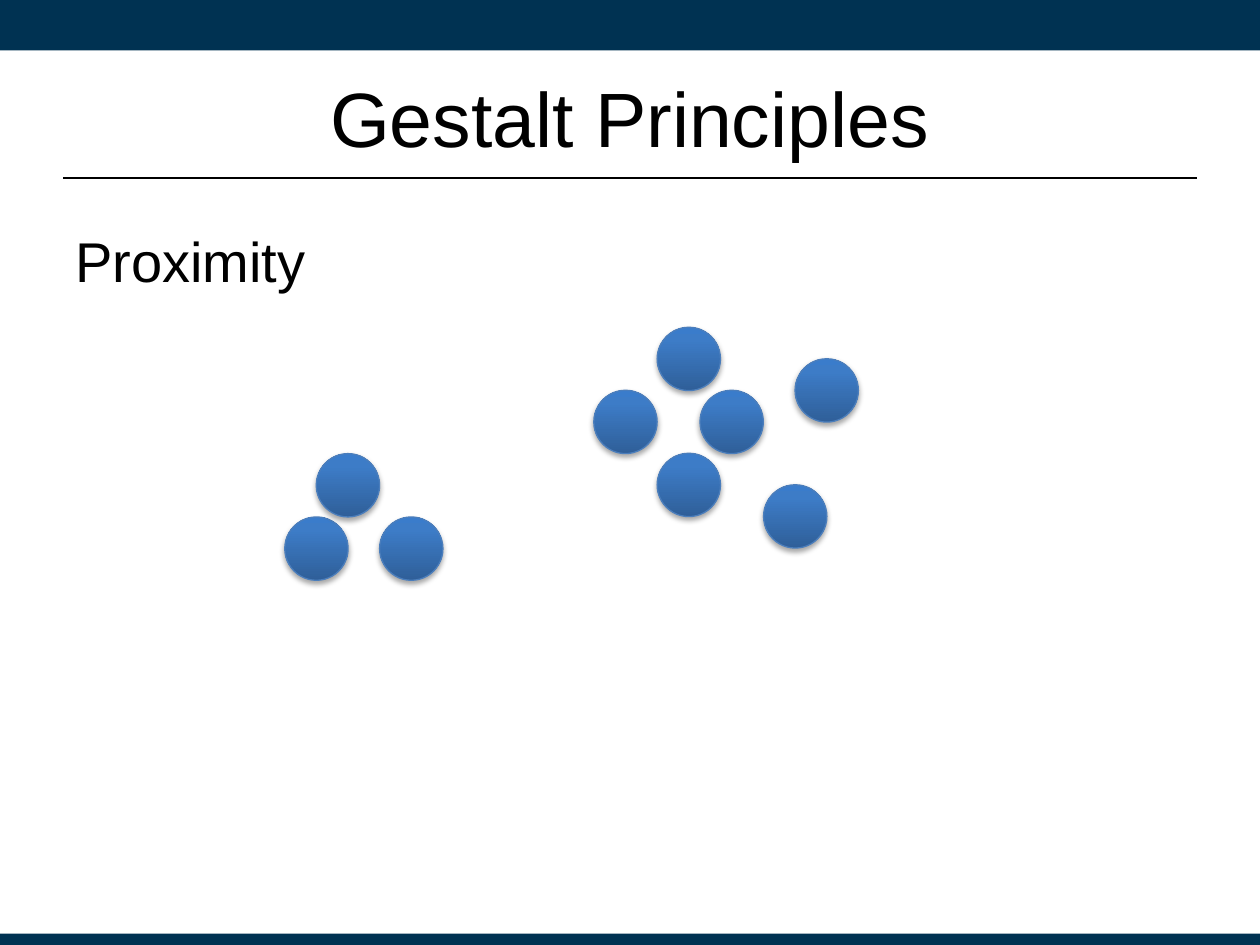
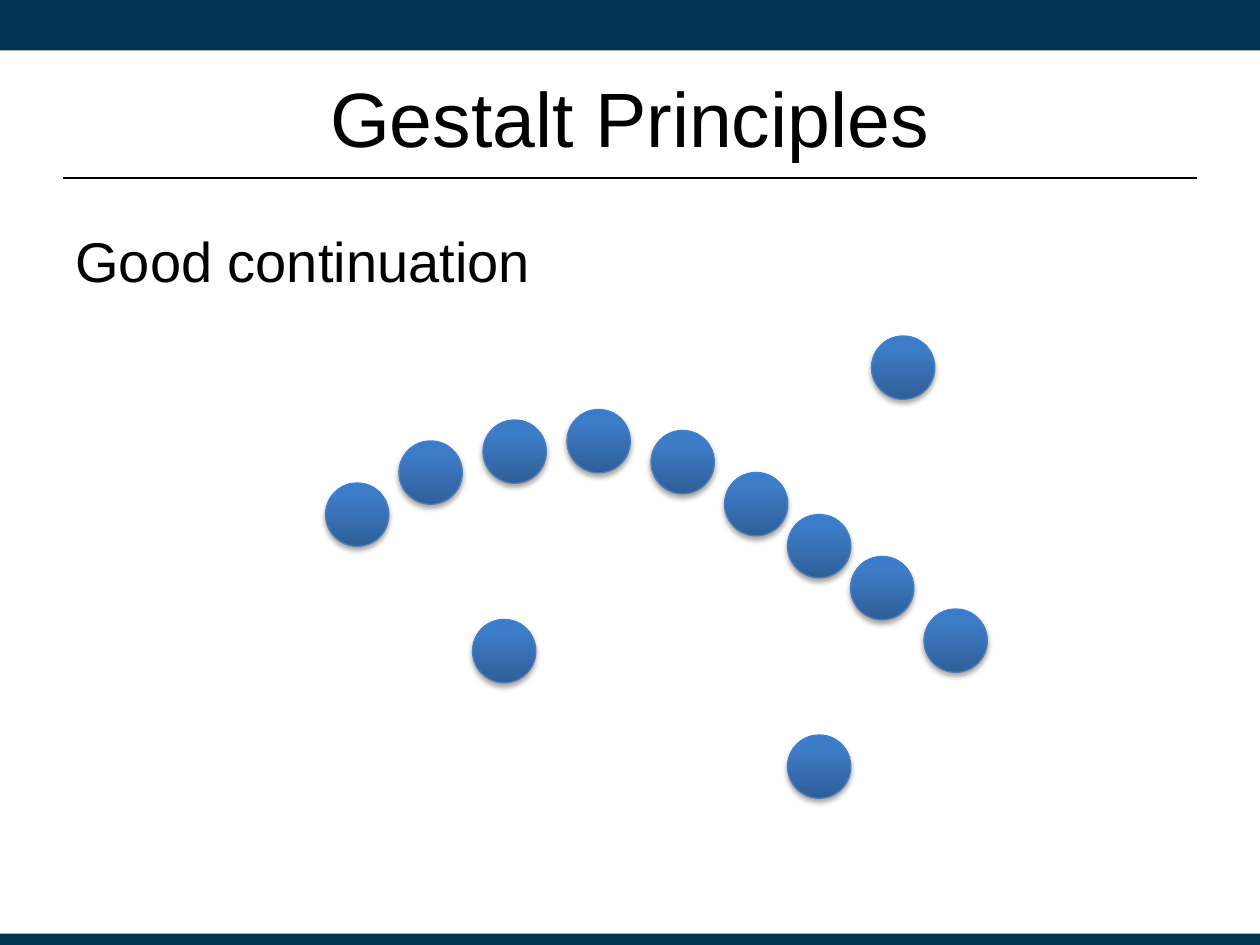
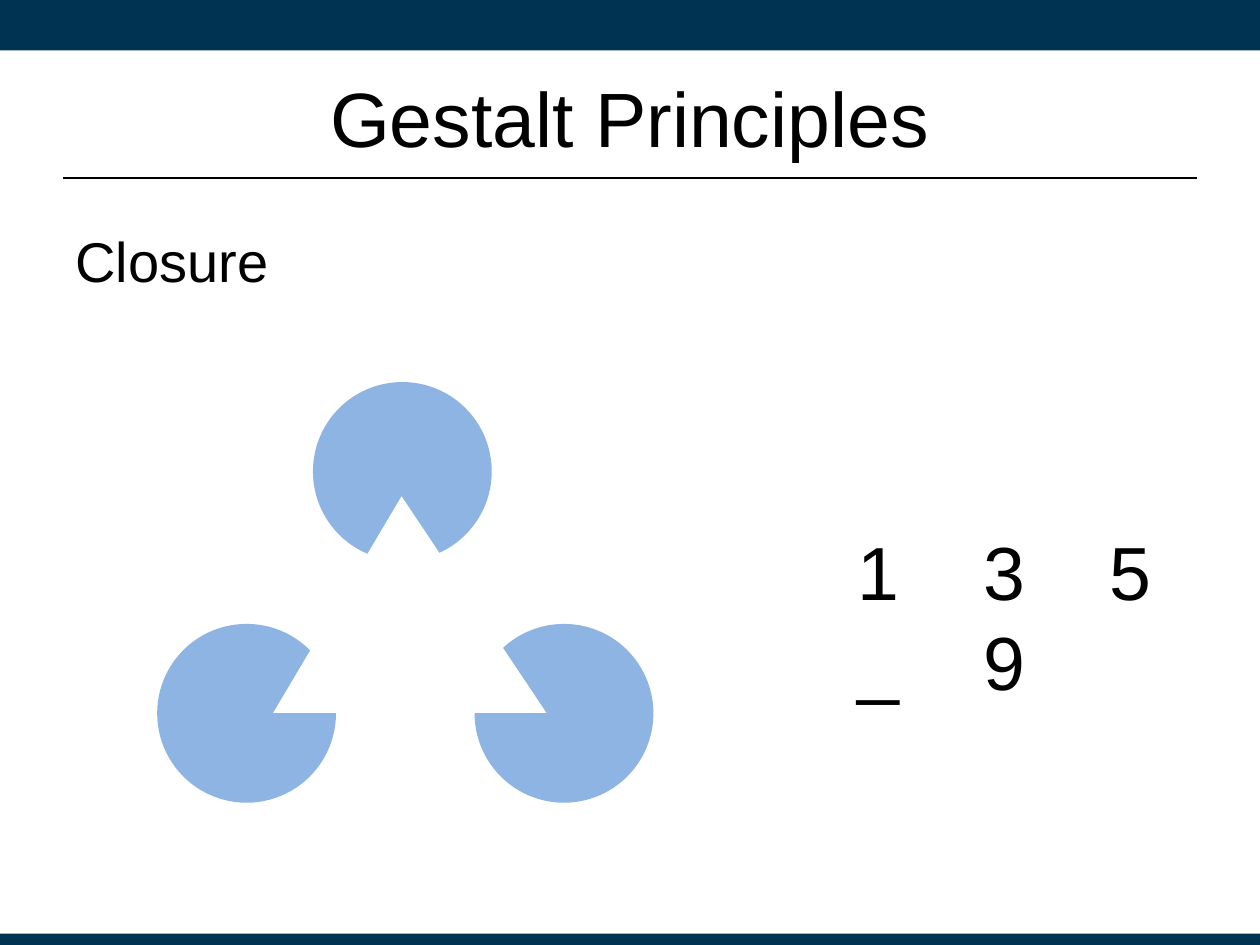
import copy
from collections import namedtuple
from dataclasses import dataclass

import lxml.etree
import pptx
import pptx.dml.color
import pptx.enum.shapes
import pptx.enum.text
import pptx.oxml.ns
import pptx.util

Pt = pptx.util.Pt
qn = pptx.oxml.ns.qn
Shapes = pptx.enum.shapes.MSO_SHAPE
Align = pptx.enum.text.PP_ALIGN
Anchor = pptx.enum.text.MSO_ANCHOR
Box = namedtuple("Box", "left top width height")


@dataclass(frozen=True)
class Theme:
    font: str = "Arial"
    title_size: float = 44
    body_size: float = 32
    digit_size: float = 43
    ink: str = "000000"
    paper: str = "FFFFFF"
    band: str = "003252"
    disc: str = "8EB4E3"
    dot_line: str = "4B7EBC"
    dot_stops: tuple = ((0, "2F5F99"), (0.8, "3D7CC7"), (1, "3A7CCB"))


THEME = Theme()
PAGE = Box(0, 0, 720, 540)
BODY = Box(36, 126, 648, 356.4)
DOT = 36.2
DISC = 102.2
TAB = 72

# Dot corners in points, from the corner of each cluster
TRIPLE = [(0, 36.2), (18, 0), (54.2, 36.2)]
SIXTUPLE = [(0, 36), (36.2, 72), (36.2, 0), (97, 90), (60.7, 36), (115, 18)]
# Dot corners in grid steps of a twelfth of an inch
STEP = 6
CURVE = [(0, 14), (7, 10), (15, 8), (23, 7), (31, 9),
         (38, 13), (44, 17), (50, 21), (57, 26)]
STRAYS = [(14, 27), (44, 38), (52, 0)]


def color(code):
    return pptx.dml.color.RGBColor.from_string(code)


def points(box):
    return [Pt(length) for length in box]


def add_text(page, box, text, size, align=Align.LEFT, anchor=Anchor.TOP, tabs=()):
    frame = page.shapes.add_textbox(*points(box)).text_frame
    frame.word_wrap = True
    frame.vertical_anchor = anchor
    para = frame.paragraphs[0]
    para.alignment = align
    if tabs:
        tab_list = lxml.etree.SubElement(para._p.get_or_add_pPr(), qn("a:tabLst"))
        for position in tabs:
            lxml.etree.SubElement(tab_list, qn("a:tab"), pos=str(Pt(position)), algn="l")
    span = para.add_run()
    span.text = text
    span.font.name = THEME.font
    span.font.size = Pt(size)
    span.font.color.rgb = color(THEME.ink)


def add_plain_shape(parent, kind, box, fill):
    shape = parent.shapes.add_shape(kind, *points(box))
    shape.shadow.inherit = False
    shape.fill.solid()
    shape.fill.fore_color.rgb = color(fill)
    shape.line.fill.background()
    return shape


def add_dot(page, left, top):
    """Draw a shaded ball: dark at the bottom, with a soft drop shadow."""
    dot = add_plain_shape(page, Shapes.OVAL, Box(left, top, DOT, DOT), THEME.disc)
    dot.line.color.rgb = color(THEME.dot_line)
    dot.line.width = Pt(0.75)
    dot.fill.gradient()
    dot.fill.gradient_angle = 90
    stop_list = dot._element.spPr.find(".//" + qn("a:gsLst"))
    stop_list.append(copy.deepcopy(stop_list[-1]))
    for stop, (position, code) in zip(dot.fill.gradient_stops, THEME.dot_stops):
        stop.position = position
        stop.color.rgb = color(code)
    effects = dot._element.spPr.find(qn("a:effectLst"))
    shadow = lxml.etree.SubElement(
        effects, qn("a:outerShdw"), blurRad=str(Pt(3.1)), dist=str(Pt(1.8)),
        dir="5400000", rotWithShape="0")
    shade = lxml.etree.SubElement(shadow, qn("a:srgbClr"), val=THEME.ink)
    lxml.etree.SubElement(shade, qn("a:alpha"), val="35000")


def add_dots(page, left, top, corners, scale=1):
    for across, down in corners:
        add_dot(page, left + across * scale, top + down * scale)


def add_rule(page, left, right, top):
    rule = page.shapes.add_connector(
        pptx.enum.shapes.MSO_CONNECTOR.STRAIGHT, *points((left, top, right, top)))
    rule.line.color.rgb = color(THEME.ink)
    rule.line.width = Pt(1.25)
    lxml.etree.SubElement(rule._element.spPr, qn("a:effectLst"))


def add_principle_page(deck, principle):
    """Add a page with the shared bands, title and rule, and the principle's name."""
    page = deck.slides.add_slide(deck.slide_layouts[6])
    for top, height in ((0, 28.8), (533.6, 6.4)):
        add_plain_shape(page, Shapes.RECTANGLE, Box(0, top, PAGE.width, height), THEME.band)
    add_rule(page, BODY.left, BODY.left + BODY.width, 101.9)
    add_text(page, Box(BODY.left, 21.6, BODY.width, 90), "Gestalt Principles",
             THEME.title_size, align=Align.CENTER, anchor=Anchor.MIDDLE)
    add_text(page, BODY, principle, THEME.body_size)
    return page


def add_closure_figure(page, left, top):
    """Cover three discs with a paper-coloured triangle."""
    figure = page.shapes.add_group_shape()
    for across, down in ((0, 138.2), (181.4, 138.2), (89, 0)):
        add_plain_shape(figure, Shapes.OVAL,
                        Box(left + across, top + down, DISC, DISC), THEME.disc)
    triangle = add_plain_shape(figure, Shapes.ISOSCELES_TRIANGLE,
                               Box(left + 66.3, top + 65.3, 156.2, 123.8), THEME.paper)
    triangle.adjustments[0] = 0.47


def build_proximity(deck):
    page = add_principle_page(deck, "Proximity")
    add_dots(page, 162.7, 259.2, TRIPLE)
    add_dots(page, 339.3, 187, SIXTUPLE)


def build_continuation(deck):
    page = add_principle_page(deck, "Good continuation")
    add_dots(page, 186, 192, CURVE + STRAYS, scale=STEP)


def build_closure(deck):
    page = add_principle_page(deck, "Closure")
    add_text(page, Box(483.1, 296.6, 200.9, 59), "1\t3\t5\t_\t9",
             THEME.digit_size, tabs=[TAB, 2 * TAB, 3 * TAB])
    add_closure_figure(page, 89.8, 218.3)


def main():
    deck = pptx.Presentation()
    deck.slide_width, deck.slide_height = Pt(PAGE.width), Pt(PAGE.height)
    for build in (build_proximity, build_continuation, build_closure):
        build(deck)
    deck.save("out.pptx")


if __name__ == "__main__":
    main()
